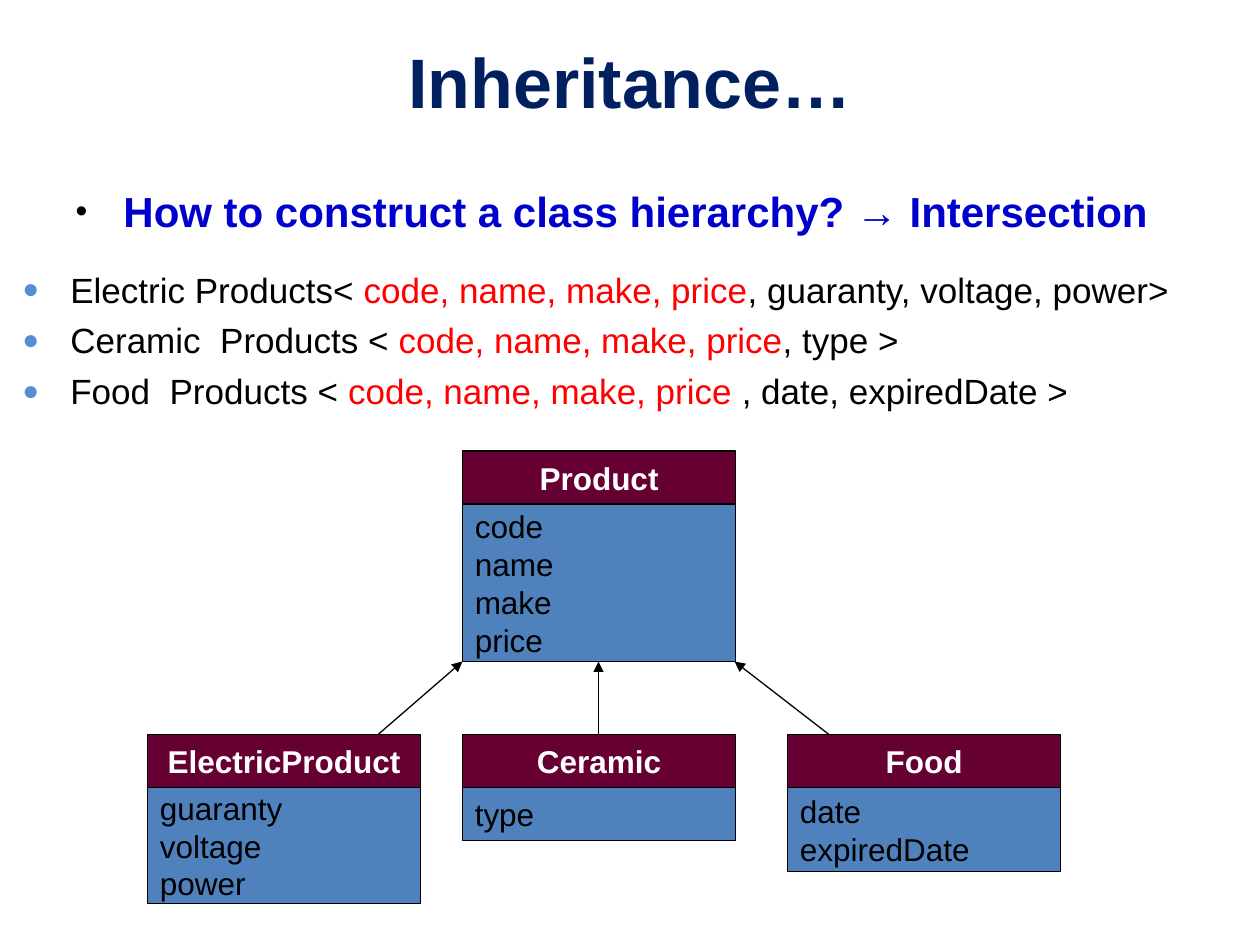
"""Build a slide that derives a class hierarchy from shared product attributes."""
from lxml.etree import SubElement
from pptx import Presentation
from pptx.dml.color import RGBColor
from pptx.enum.shapes import MSO_CONNECTOR, MSO_SHAPE
from pptx.enum.text import MSO_ANCHOR, MSO_AUTO_SIZE, PP_ALIGN
from pptx.oxml.ns import qn
from pptx.util import Inches, Pt

COLORS = {
    "title": "002060",
    "question": "0000CC",
    "bullet": "558ED5",
    "shared": "FF0000",
    "header": "660033",
    "attributes": "4F81BD",
    "black": "000000",
    "white": "FFFFFF",
}
BOX_WIDTH = 2.17
HEADER_HEIGHT = 0.42
PARENT_TOP, PARENT_BOTTOM, CHILD_TOP = 3.58, 5.25, 5.83

PRODUCTS = [
    ("Electric Products< ", "code, name, make, price", ", guaranty, voltage, power>"),
    ("Ceramic  Products < ", "code, name, make, price", ", type >"),
    ("Food  Products <", " code, name, make, price", " , date, expiredDate >"),
]
CLASSES = [
    ("Product", ["code", "name", "make", "price"], 3.67, PARENT_TOP, 1.25),
    ("ElectricProduct", ["guaranty", "voltage", "power"], 1.17, CHILD_TOP, 0.92),
    ("Ceramic", ["type"], 3.67, CHILD_TOP, 0.42),
    ("Food", ["date", "expiredDate"], 6.25, CHILD_TOP, 0.67),
]
ARROWS = [(3, 3.67), (4.75, 4.75), (6.58, 5.83)]


def color(name):
    """Return the named colour."""
    return RGBColor.from_string(COLORS[name])


def place(shape, left, top, width, height):
    """Move and size a shape, in inches."""
    shape.left, shape.top = Inches(left), Inches(top)
    shape.width, shape.height = Inches(width), Inches(height)


def add_span(para, text, size, color_name, bold=False):
    """Add one formatted run to a paragraph."""
    span = para.add_run()
    span.text = text
    span.font.name = "Arial"
    span.font.size = Pt(size)
    span.font.bold = bold
    span.font.color.rgb = color(color_name)


def next_paragraph(frame, index):
    """Return the first paragraph, or a new one after it."""
    return frame.add_paragraph() if index else frame.paragraphs[0]


def set_bullet(para, character, color_name):
    """Give a paragraph a hanging coloured bullet."""
    properties = para._p.get_or_add_pPr()
    properties.set("marL", str(Inches(0.38)))
    properties.set("indent", str(-Inches(0.38)))
    bullet_color = SubElement(properties, qn("a:buClr"))
    SubElement(bullet_color, qn("a:srgbClr"), val=COLORS[color_name])
    SubElement(properties, qn("a:buSzPct"), val="80000")
    SubElement(properties, qn("a:buFont"), typeface="Arial")
    SubElement(properties, qn("a:buChar"), char=character)


def fill_title(title):
    """Write the slide title."""
    place(title, 0.5, 0.25, 9, 0.78)
    frame = title.text_frame
    frame.auto_size = MSO_AUTO_SIZE.NONE
    frame.vertical_anchor = MSO_ANCHOR.MIDDLE
    para = frame.paragraphs[0]
    para.alignment = PP_ALIGN.CENTER
    add_span(para, "Inheritance…", 40, "title", True)


def fill_question(body):
    """Write the leading question in the body placeholder."""
    place(body, 0.5, 1.42, 9, 0.58)
    frame = body.text_frame
    frame.auto_size = MSO_AUTO_SIZE.NONE
    para = frame.paragraphs[0]
    para.alignment = PP_ALIGN.JUSTIFY
    para.space_before = Pt(0)
    set_bullet(para, "•", "black")
    add_span(para, "How to construct a class hierarchy? → Intersection", 24, "question", True)


def add_product_list(page):
    """List the products with their shared attributes highlighted."""
    box = page.shapes.add_textbox(Inches(0.08), Inches(2.08), Inches(9.75), Inches(1.33))
    frame = box.text_frame
    frame.word_wrap = True
    for index, parts in enumerate(PRODUCTS):
        para = next_paragraph(frame, index)
        para.space_before = Pt(5 if index else 0)
        set_bullet(para, "●", "bullet")
        for text, color_name in zip(parts, ("black", "shared", "black")):
            add_span(para, text, 20, color_name)


def add_compartment(page, lines, left, top, height, fill, text_color, alignment, bold):
    """Add one outlined compartment of a class box."""
    box = page.shapes.add_shape(
        MSO_SHAPE.RECTANGLE, Inches(left), Inches(top), Inches(BOX_WIDTH), Inches(height)
    )
    box.shadow.inherit = False
    box.fill.solid()
    box.fill.fore_color.rgb = color(fill)
    box.line.color.rgb = color("black")
    box.line.width = Pt(0.75)
    frame = box.text_frame
    frame.word_wrap = True
    frame.vertical_anchor = MSO_ANCHOR.MIDDLE
    for index, line in enumerate(lines):
        para = next_paragraph(frame, index)
        para.alignment = alignment
        add_span(para, line, 18, text_color, bold)


def add_class(page, name, attributes, left, top, height):
    """Add a class box with its name above its attributes."""
    add_compartment(
        page, [name], left, top, HEADER_HEIGHT, "header", "white", PP_ALIGN.CENTER, True
    )
    add_compartment(
        page, attributes, left, top + HEADER_HEIGHT, height,
        "attributes", "black", PP_ALIGN.LEFT, False,
    )


def add_arrow(page, start, end):
    """Add an arrow from a child class up to the parent class."""
    arrow = page.shapes.add_connector(
        MSO_CONNECTOR.STRAIGHT,
        Inches(start), Inches(CHILD_TOP), Inches(end), Inches(PARENT_BOTTOM),
    )
    arrow.line.color.rgb = color("black")
    arrow.line.width = Pt(0.75)
    SubElement(arrow.line._get_or_add_ln(), qn("a:tailEnd"), type="triangle")
    SubElement(arrow._element.spPr, qn("a:effectLst"))


def main():
    """Build and save the deck."""
    deck = Presentation()
    deck.slide_width, deck.slide_height = Inches(10), Inches(7.5)
    page = deck.slides.add_slide(deck.slide_layouts[1])
    fill_title(page.shapes.title)
    fill_question(page.placeholders[1])
    add_product_list(page)
    for details in CLASSES:
        add_class(page, *details)
    for start, end in ARROWS:
        add_arrow(page, start, end)
    deck.save("out.pptx")


if __name__ == "__main__":
    main()
